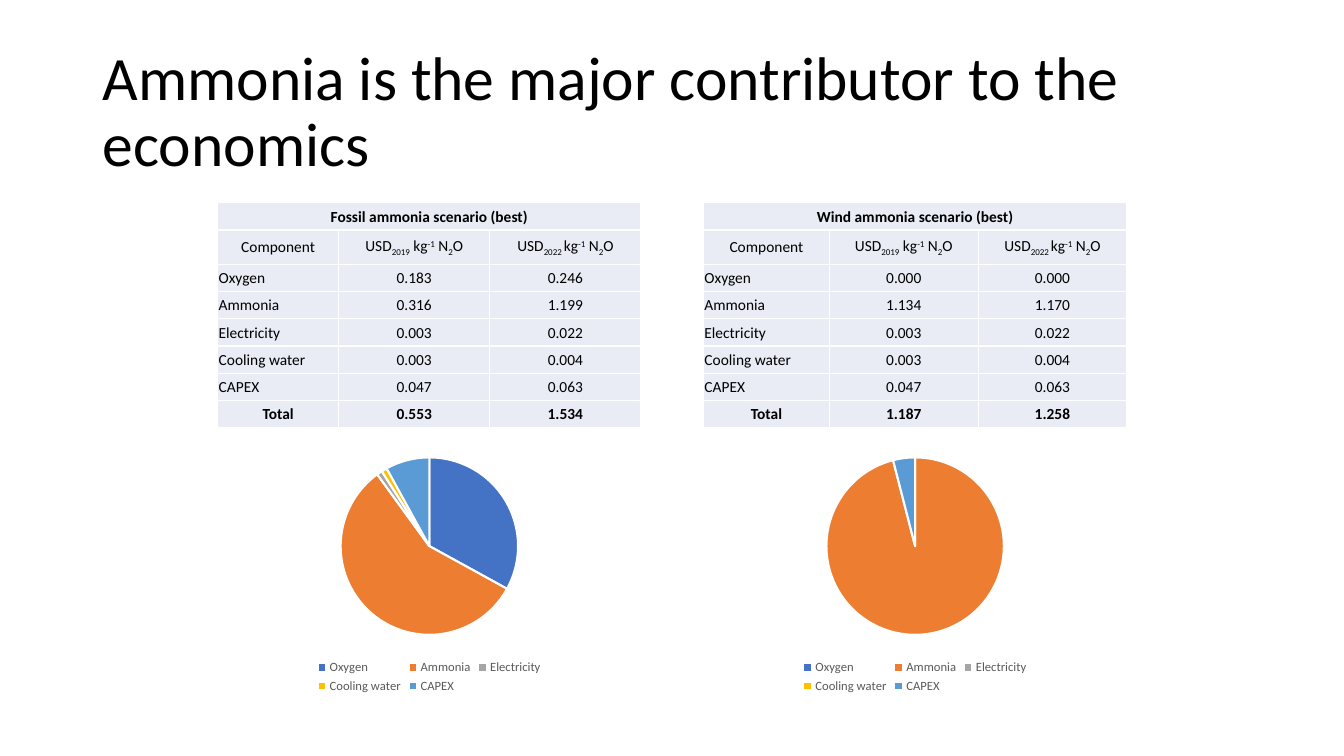
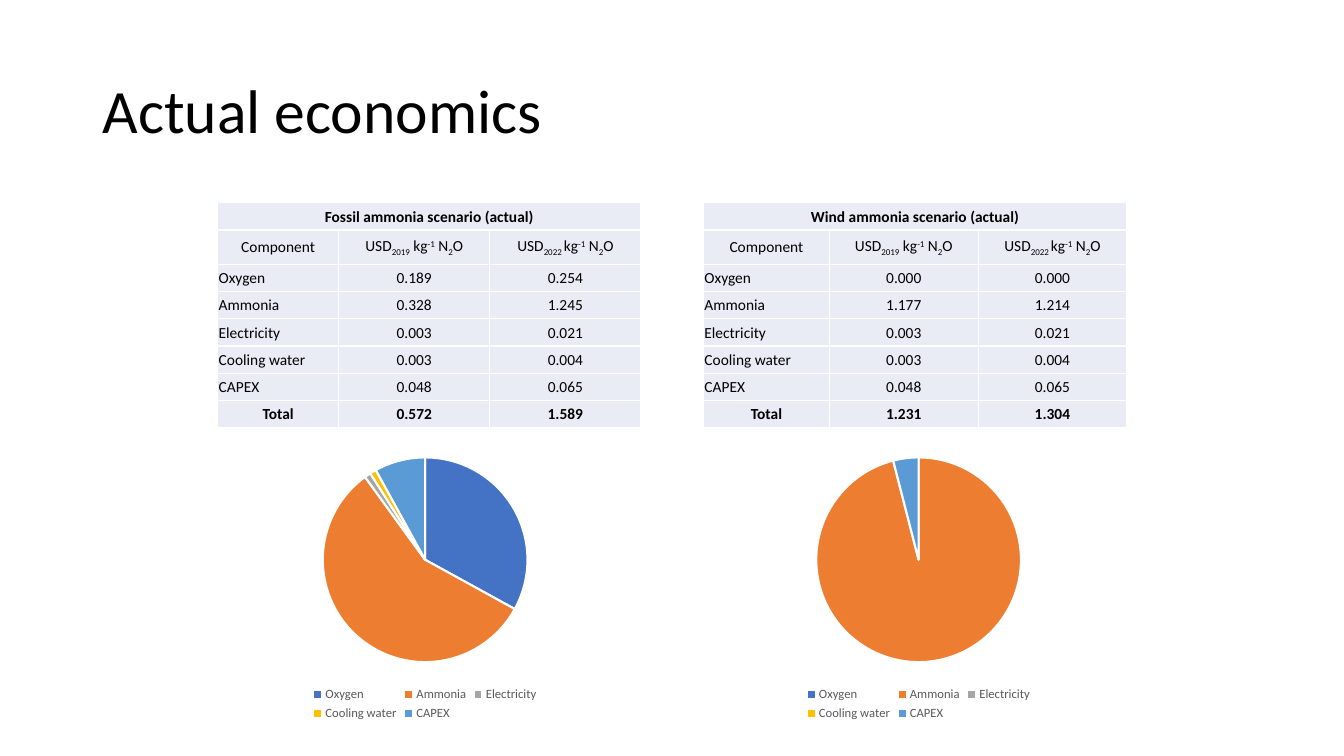
from lxml import etree
from pptx import Presentation
from pptx.chart.data import CategoryChartData
from pptx.dml.color import RGBColor
from pptx.enum.chart import XL_CHART_TYPE as ChartType, XL_LEGEND_POSITION as LegendPos
from pptx.enum.text import MSO_ANCHOR as Anchor, PP_ALIGN as Align
from pptx.oxml.ns import qn
from pptx.util import Pt

FONT = "Calibri"
COLORS = {
    "text": "000000", "legend": "595959", "cell": "E9EBF5", "rule": "FFFFFF",
    "Oxygen": "4472C4", "Ammonia": "ED7D31", "Electricity": "A5A5A5",
    "Cooling water": "FFC000", "CAPEX": "5B9BD5",
}
COMPONENTS = ["Oxygen", "Ammonia", "Electricity", "Cooling water", "CAPEX"]

# Shared layout, in points
TITLE_BOX = (66.24, 28.8, 828, 104.4)
TABLE_TOP, TABLE_WIDTH = 144.8, 302.4
CHART_TOP = 316.8
FOSSIL_LEFT, WIND_LEFT = 155.5, 502.5
ROW_HEIGHT, UNIT_ROW_HEIGHT = 19.5, 24.5
FOSSIL_LABEL_WIDTH, WIND_LABEL_WIDTH = 86.4, 90

# Unit headings as (text, baseline percent) pieces
PER_KG_N2O = [("-1", 30), (" N", 0), ("2", -25), ("O", 0)]
USD_2019 = [("USD", 0), ("2019", -25), (" kg", 0)] + PER_KG_N2O
USD_2022 = [("USD", 0), ("2022 ", -25), ("kg", 0)] + PER_KG_N2O

# Cost columns: the five components, then the total
SLIDES = [
    {
        "title": "Ammonia is the major contributor to the economics",
        "case": "best",
        "fossil": (["0.183", "0.316", "0.003", "0.003", "0.047", "0.553"],
                   ["0.246", "1.199", "0.022", "0.004", "0.063", "1.534"]),
        "wind": (["0.000", "1.134", "0.003", "0.003", "0.047", "1.187"],
                 ["0.000", "1.170", "0.022", "0.004", "0.063", "1.258"]),
        "chart_lefts": (FOSSIL_LEFT, WIND_LEFT),
        "chart_size": (302.4, 181.4),
    },
    {
        "title": "Actual economics",
        "case": "actual",
        "fossil": (["0.189", "0.328", "0.003", "0.003", "0.048", "0.572"],
                   ["0.254", "1.245", "0.021", "0.004", "0.065", "1.589"]),
        "wind": (["0.000", "1.177", "0.003", "0.003", "0.048", "1.231"],
                 ["0.000", "1.214", "0.021", "0.004", "0.065", "1.304"]),
        "chart_lefts": (150, WIND_LEFT),
        "chart_size": (307.4, 200.9),
    },
]
FOSSIL_SHARES = [33, 57, 1, 1, 8]
WIND_SHARES = [0, 96, 0, 0, 4]


def rgb(name):
    return RGBColor.from_string(COLORS[name])


def style_font(font, size, color="text", bold=False):
    font.name, font.size, font.bold = FONT, Pt(size), bold
    font.color.rgb = rgb(color)


def write(frame, text, size=11, bold=False, align=Align.LEFT, spacing=None):
    """Write a string, or a list of (text, baseline) pieces, as one paragraph."""
    frame.word_wrap = True
    paragraph = frame.paragraphs[0]
    paragraph.alignment = align
    if spacing:
        paragraph.line_spacing = spacing
    pieces = [(text, 0)] if isinstance(text, str) else text
    for piece, baseline in pieces:
        run = paragraph.add_run()
        run.text = piece
        style_font(run.font, size, bold=bold)
        if baseline:
            run._r.get_or_add_rPr().set("baseline", str(baseline * 1000))


def add_title(slide, text, box):
    frame = slide.shapes.add_textbox(*map(Pt, box)).text_frame
    frame.vertical_anchor = Anchor.MIDDLE
    write(frame, text, size=44, spacing=0.9)


def format_cell(cell):
    cell.margin_left = cell.margin_right = cell.margin_top = Pt(0.7)
    cell.margin_bottom = 0
    cell.vertical_anchor = Anchor.MIDDLE
    properties = cell._tc.get_or_add_tcPr()
    for side in ("a:lnL", "a:lnR", "a:lnT", "a:lnB"):
        border = etree.SubElement(properties, qn(side), w=str(Pt(1)))
        fill = etree.SubElement(border, qn("a:solidFill"))
        etree.SubElement(fill, qn("a:srgbClr"), val=COLORS["rule"])
    cell.fill.solid()
    cell.fill.fore_color.rgb = rgb("cell")


def add_cost_table(slide, heading, costs, left, top, width, label_width):
    rows = [[heading], ["Component", USD_2019, USD_2022]]
    rows += [list(row) for row in zip(COMPONENTS + ["Total"], *costs)]
    heights = [ROW_HEIGHT] * len(rows)
    heights[1] = UNIT_ROW_HEIGHT
    table = slide.shapes.add_table(
        len(rows), 3, Pt(left), Pt(top), Pt(width), Pt(sum(heights))).table
    table.first_row = table.horz_banding = False
    cost_width = (width - label_width) / 2
    for column, column_width in zip(table.columns, (label_width, cost_width, cost_width)):
        column.width = Pt(column_width)
    for row, height in zip(table.rows, heights):
        row.height = Pt(height)
    for cell in table.iter_cells():
        format_cell(cell)
    table.cell(0, 0).merge(table.cell(0, 2))
    for r, row in enumerate(rows):
        for c, text in enumerate(row):
            is_label = c == 0 and text in COMPONENTS
            write(table.cell(r, c).text_frame, text,
                  bold=r in (0, len(rows) - 1),
                  align=Align.LEFT if is_label else Align.CENTER)


def add_share_pie(slide, shares, left, top, width, height):
    data = CategoryChartData()
    data.categories = COMPONENTS
    data.add_series("Series 1", shares)
    chart = slide.shapes.add_chart(
        ChartType.PIE, Pt(left), Pt(top), Pt(width), Pt(height), data).chart
    style_font(chart.font, 10)
    chart.has_title = False
    chart.has_legend = True
    chart.legend.position = LegendPos.BOTTOM
    chart.legend.include_in_layout = False
    style_font(chart.legend.font, 9, "legend")
    plot = chart.plots[0]
    plot.vary_by_categories = True
    for i, component in enumerate(COMPONENTS):
        wedge = plot.series[0].points[i].format
        wedge.fill.solid()
        wedge.fill.fore_color.rgb = rgb(component)
        wedge.line.color.rgb = rgb("rule")
        wedge.line.width = Pt(1.5)


def add_economics_slide(deck, content):
    slide = deck.slides.add_slide(deck.slide_layouts[6])
    add_title(slide, content["title"], TITLE_BOX)
    # Cost tables
    for source, left, label_width in (("fossil", FOSSIL_LEFT, FOSSIL_LABEL_WIDTH),
                                      ("wind", WIND_LEFT, WIND_LABEL_WIDTH)):
        heading = f"{source.title()} ammonia scenario ({content['case']})"
        add_cost_table(slide, heading, content[source],
                       left, TABLE_TOP, TABLE_WIDTH, label_width)
    # Cost shares
    for shares, left in zip((FOSSIL_SHARES, WIND_SHARES), content["chart_lefts"]):
        add_share_pie(slide, shares, left, CHART_TOP, *content["chart_size"])


def main():
    deck = Presentation()
    deck.slide_width, deck.slide_height = Pt(960), Pt(540)
    for content in SLIDES:
        add_economics_slide(deck, content)
    deck.save("out.pptx")


if __name__ == "__main__":
    main()
